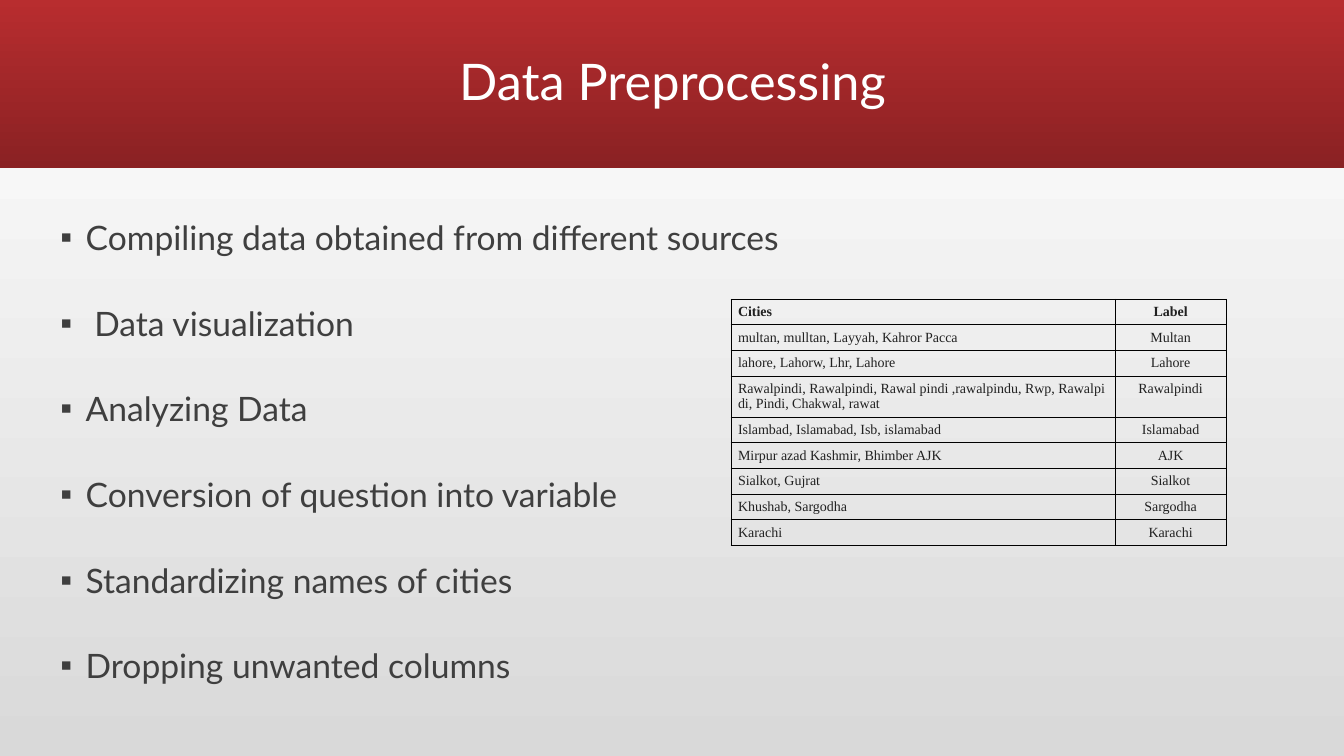
from lxml.etree import SubElement
from pptx import Presentation
from pptx.dml.color import RGBColor
from pptx.enum.shapes import MSO_SHAPE
from pptx.enum.text import MSO_ANCHOR, MSO_AUTO_SIZE, PP_ALIGN
from pptx.oxml import parse_xml
from pptx.oxml.ns import nsdecls, qn
from pptx.util import Inches, Pt

HEADING = "Data Preprocessing"
STEPS = [
    "Compiling data obtained from different sources",
    " Data visualization",
    "Analyzing Data",
    "Conversion of question into variable",
    "Standardizing names of cities",
    "Dropping unwanted columns",
]
CITY_LABELS = [
    ("Cities", "Label"),
    ("multan, mulltan, Layyah, Kahror Pacca", "Multan"),
    ("lahore, Lahorw, Lhr, Lahore", "Lahore"),
    ("Rawalpindi, Rawalpindi, Rawal pindi ,rawalpindu, Rwp, "
     "Rawalpi di, Pindi, Chakwal, rawat", "Rawalpindi"),
    ("Islambad, Islamabad, Isb, islamabad", "Islamabad"),
    ("Mirpur azad Kashmir, Bhimber AJK", "AJK"),
    ("Sialkot, Gujrat", "Sialkot"),
    ("Khushab, Sargodha", "Sargodha"),
    ("Karachi", "Karachi"),
]
COLUMN_WIDTHS = (3.81, 1.1)
ROW_HEIGHT = 0.25
WRAPPED_ROW, WRAPPED_HEIGHT = 3, 0.41

WHITE = RGBColor(0xFF, 0xFF, 0xFF)
SILVER = RGBColor(0xD9, 0xD9, 0xD9)
RED = RGBColor(0xB8, 0x2D, 0x2F)
DARK_RED = RGBColor(0x8A, 0x21, 0x23)
CHARCOAL = RGBColor(0x3F, 0x3F, 0x3F)
INK = RGBColor(0x21, 0x21, 0x21)


def write(paragraph, text, font="Lato", size=24, color=CHARCOAL, bold=False,
          align=PP_ALIGN.LEFT, line_spacing=1.0, space_before=0):
    run = paragraph.add_run()
    run.text = text
    run.font.name = font
    run.font.size = Pt(size)
    run.font.bold = bold
    run.font.color.rgb = color
    paragraph.alignment = align
    paragraph.line_spacing = line_spacing
    paragraph.space_before = Pt(space_before)


def shade(fill, start, end, angle):
    fill.gradient()
    fill.gradient_angle = angle
    for stop, color, position in zip(fill.gradient_stops, (start, end), (0, 1)):
        stop.color.rgb = color
        stop.position = position


def place(shape, left, top, width, height):
    shape.left, shape.top = Inches(left), Inches(top)
    shape.width, shape.height = Inches(width), Inches(height)


def add_bullet(paragraph):
    properties = paragraph._p.get_or_add_pPr()
    properties.set("marL", str(Inches(0.25)))
    properties.set("indent", str(-Inches(0.25)))
    bullet_color = SubElement(properties, qn("a:buClr"))
    SubElement(bullet_color, qn("a:srgbClr")).set("val", str(CHARCOAL))
    SubElement(properties, qn("a:buFont")).set("typeface", "Wingdings")
    properties[-1].set("typeface", "Arial")
    SubElement(properties, qn("a:buChar")).set("char", "▪")


def add_borders(cell):
    properties = cell._tc.get_or_add_tcPr()
    for index, side in enumerate(("lnL", "lnR", "lnT", "lnB")):
        properties.insert(index, parse_xml(
            f'<a:{side} {nsdecls("a")} w="{Pt(0.75)}"><a:solidFill>'
            f'<a:srgbClr val="000000"/></a:solidFill></a:{side}>'))


def add_city_table(slide):
    table = slide.shapes.add_table(
        len(CITY_LABELS), len(COLUMN_WIDTHS), Inches(7.25), Inches(2.97),
        Inches(sum(COLUMN_WIDTHS)), Inches(ROW_HEIGHT * len(CITY_LABELS))).table
    table.first_row = table.horz_banding = False
    for column, width in zip(table.columns, COLUMN_WIDTHS):
        column.width = Inches(width)
    for row, texts in enumerate(CITY_LABELS):
        table.rows[row].height = Inches(
            WRAPPED_HEIGHT if row == WRAPPED_ROW else ROW_HEIGHT)
        for column, text in enumerate(texts):
            cell = table.cell(row, column)
            cell.margin_left = cell.margin_right = Inches(0.07)
            cell.fill.background()
            add_borders(cell)
            if column:
                align = PP_ALIGN.CENTER
            else:
                align = PP_ALIGN.LEFT if row else PP_ALIGN.JUSTIFY
            write(cell.text_frame.paragraphs[0], text, font="Times New Roman",
                  size=10, color=INK, bold=row == 0, align=align)


def main():
    deck = Presentation()
    deck.slide_width, deck.slide_height = Inches(13.33), Inches(7.5)
    slide = deck.slides.add_slide(deck.slide_layouts[1])
    shade(slide.background.fill, SILVER, WHITE, 90)

    band = slide.shapes.add_shape(
        MSO_SHAPE.RECTANGLE, 0, 0, deck.slide_width, Inches(1.67))
    band.shadow.inherit = False
    band.line.fill.background()
    shade(band.fill, RED, DARK_RED, 270)
    slide.shapes.title._element.addprevious(band._element)

    title = slide.shapes.title
    place(title, 1.17, 0.11, 11, 1.45)
    title.text_frame.vertical_anchor = MSO_ANCHOR.MIDDLE
    title.text_frame.auto_size = MSO_AUTO_SIZE.NONE
    write(title.text_frame.paragraphs[0], HEADING, size=36, color=WHITE,
          align=PP_ALIGN.CENTER, line_spacing=0.9)

    body = slide.placeholders[1]
    place(body, 0.5, 1.9, 8.48, 5)
    steps = body.text_frame
    steps.auto_size = MSO_AUTO_SIZE.NONE
    steps.vertical_anchor = MSO_ANCHOR.TOP
    for index, step in enumerate(STEPS):
        paragraph = steps.add_paragraph() if index else steps.paragraphs[0]
        write(paragraph, step, line_spacing=1.5, space_before=18 if index else 0)
        add_bullet(paragraph)

    add_city_table(slide)
    deck.save("out.pptx")


if __name__ == "__main__":
    main()
